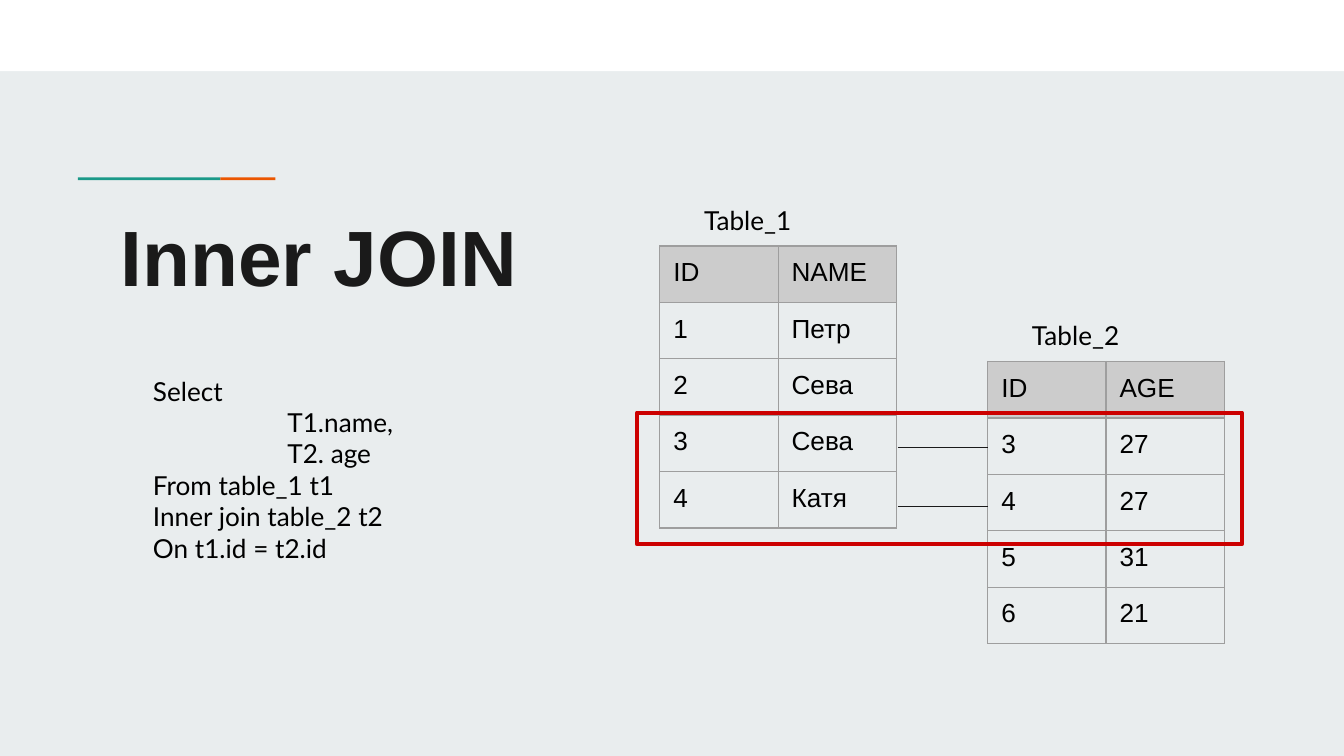
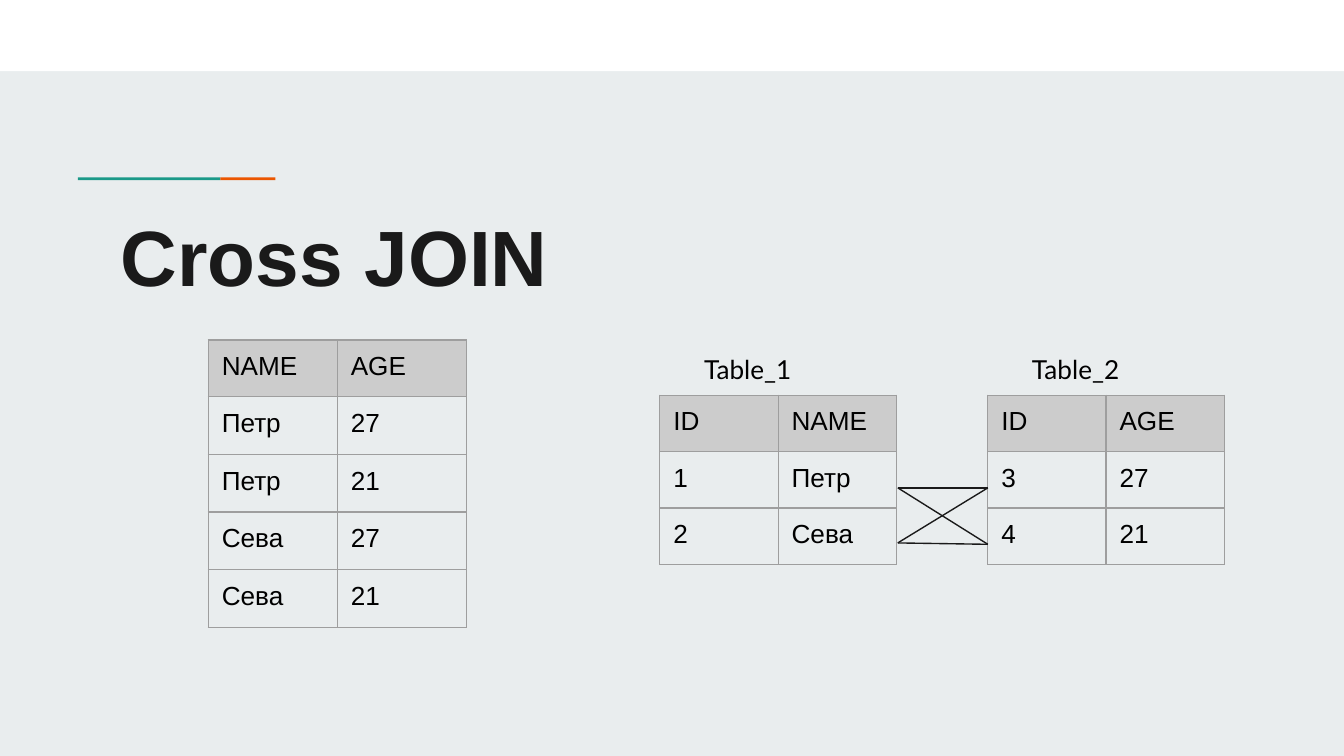
import itertools

import lxml.etree
import pptx
import pptx.dml.color
import pptx.enum.shapes
import pptx.enum.text
import pptx.oxml.ns
import pptx.util

Inches = pptx.util.Inches
Pt = pptx.util.Pt
qn = pptx.oxml.ns.qn

INK = "1A1A1A"
BLACK = "000000"
BACKGROUND = "E9EDEE"
WHITE = "FFFFFF"
TEAL = "1A9988"
ORANGE = "EB5600"
RED = "CC0000"
HEADER = "CCCCCC"
BORDER = "9E9E9E"

ROW = 0.42
COLUMN = 0.88
LEFT_TABLE, RIGHT_TABLE = 4.91, 7.35
LINK_START, LINK_END = 6.68, 7.35


def rgb(value):
    return pptx.dml.color.RGBColor.from_string(value)


class Deck:
    """Holds the shared style and the current slide."""

    def __init__(self):
        self.presentation = pptx.Presentation()
        self.presentation.slide_width = Inches(10)
        self.presentation.slide_height = Inches(10) * 9 // 16
        self.slide = None

    def new_slide(self, title):
        self.slide = self.presentation.slides.add_slide(self.presentation.slide_layouts[6])
        fill = self.slide.background.fill
        fill.solid()
        fill.fore_color.rgb = rgb(BACKGROUND)
        # Top band and two-colour accent
        self.rectangle(0, 0, 10, 0.53, fill=WHITE)
        self.rectangle(0.58, 1.32, 1.06, 0.02, fill=TEAL)
        self.rectangle(1.64, 1.32, 0.41, 0.02, fill=ORANGE)
        self.text([title], 0.8, 1.45, 3.43, 0.8, font="Arial", size=42,
                  color=INK, bold=True)

    def rectangle(self, left, top, width, height, fill=None, line=None):
        box = self.slide.shapes.add_shape(
            pptx.enum.shapes.MSO_SHAPE.RECTANGLE,
            Inches(left), Inches(top), Inches(width), Inches(height))
        box.shadow.inherit = False
        if fill:
            box.fill.solid()
            box.fill.fore_color.rgb = rgb(fill)
        else:
            box.fill.background()
        if line:
            box.line.color.rgb = rgb(line)
            box.line.width = Pt(2.25)
        else:
            box.line.fill.background()

    def style(self, paragraph, font, size, color, bold=False):
        paragraph.font.name = font
        paragraph.font.size = Pt(size)
        paragraph.font.bold = bold
        paragraph.font.color.rgb = rgb(color)

    def tab_stop(self, paragraph):
        stops = lxml.etree.Element(qn("a:tabLst"))
        lxml.etree.SubElement(stops, qn("a:tab"), pos=str(Inches(1)), algn="l")
        paragraph._p.get_or_add_pPr().insert(0, stops)

    def text(self, lines, left, top, width, height, font="Lato", size=14,
             color=BLACK, bold=False):
        frame = self.slide.shapes.add_textbox(
            Inches(left), Inches(top), Inches(width), Inches(height)).text_frame
        frame.word_wrap = True
        frame.vertical_anchor = pptx.enum.text.MSO_ANCHOR.TOP
        frame.margin_left = frame.margin_right = Inches(0.1)
        frame.margin_top = frame.margin_bottom = Inches(0.1)
        frame.text = "\n".join(lines)
        for line, paragraph in zip(lines, frame.paragraphs):
            self.style(paragraph, font, size, color, bold)
            if line.startswith("\t"):
                self.tab_stop(paragraph)

    def border(self, cell):
        properties = cell._tc.get_or_add_tcPr()
        for position, side in enumerate(("lnL", "lnR", "lnT", "lnB")):
            edge = lxml.etree.Element(qn("a:" + side), w=str(Pt(0.75)))
            solid = lxml.etree.SubElement(edge, qn("a:solidFill"))
            lxml.etree.SubElement(solid, qn("a:srgbClr"), val=BORDER)
            properties.insert(position, edge)

    def table(self, rows, left, top, column=COLUMN, body_row=ROW):
        heights = [ROW] + [body_row] * (len(rows) - 1)
        grid = self.slide.shapes.add_table(
            len(rows), len(rows[0]), Inches(left), Inches(top),
            Inches(column * len(rows[0])), Inches(sum(heights))).table
        grid.first_row = grid.horz_banding = False
        for grid_column in grid.columns:
            grid_column.width = Inches(column)
        for index, values in enumerate(rows):
            grid.rows[index].height = Inches(heights[index])
            for cell, value in zip(grid.rows[index].cells, values):
                cell.text = value
                cell.margin_left = cell.margin_right = Inches(0.1)
                cell.margin_top = cell.margin_bottom = Inches(0.09)
                self.style(cell.text_frame.paragraphs[0], "Arial", 14, BLACK)
                if index == 0:
                    cell.fill.solid()
                    cell.fill.fore_color.rgb = rgb(HEADER)
                else:
                    cell.fill.background()
                self.border(cell)

    def labelled_table(self, label, rows, left, top):
        self.table(rows, left, top)
        self.text([label], left + 0.23, top - 0.41, 1.31, 0.31)

    def link(self, start_y, end_y):
        line = self.slide.shapes.add_connector(
            pptx.enum.shapes.MSO_CONNECTOR.STRAIGHT,
            Inches(LINK_START), Inches(start_y), Inches(LINK_END), Inches(end_y))
        line.line.color.rgb = rgb(INK)
        line.line.width = Pt(0.75)
        lxml.etree.SubElement(line._element.spPr, qn("a:effectLst"))


def inner_join(deck):
    deck.new_slide("Inner JOIN")
    names = [("ID", "NAME"), ("1", "Петр"), ("2", "Сева"), ("3", "Сева"), ("4", "Катя")]
    ages = [("ID", "AGE"), ("3", "27"), ("4", "27"), ("5", "31"), ("6", "21")]
    deck.labelled_table("Table_1", names, LEFT_TABLE, 1.83)
    deck.labelled_table("Table_2", ages, RIGHT_TABLE, 2.69)
    # Matching rows
    for y in (3.33, 3.77):
        deck.link(y, y)
    deck.rectangle(4.74, 3.07, 4.5, 0.98, line=RED)
    # Query
    deck.text(["Select", "\tT1.name,", "\tT2. age", "From table_1 t1",
               "Inner join table_2 t2", "On t1.id = t2.id"], 1.04, 2.69, 2.94, 1.62)


def cross_join(deck):
    deck.new_slide("Cross JOIN")
    names = [("ID", "NAME"), ("1", "Петр"), ("2", "Сева")]
    ages = [("ID", "AGE"), ("3", "27"), ("4", "21")]
    deck.labelled_table("Table_1", names, LEFT_TABLE, 2.94)
    deck.labelled_table("Table_2", ages, RIGHT_TABLE, 2.94)
    # Result: every name with every age
    pairs = [(name[1], age[1]) for name, age in itertools.product(names[1:], ages[1:])]
    deck.table([("NAME", "AGE")] + pairs, 1.55, 2.53, column=0.96, body_row=0.43)
    for start_y, end_y in itertools.product((3.63, 4.04), (3.63, 4.05)):
        deck.link(start_y, end_y)


def main():
    deck = Deck()
    inner_join(deck)
    cross_join(deck)
    deck.presentation.save("out.pptx")


if __name__ == "__main__":
    main()
